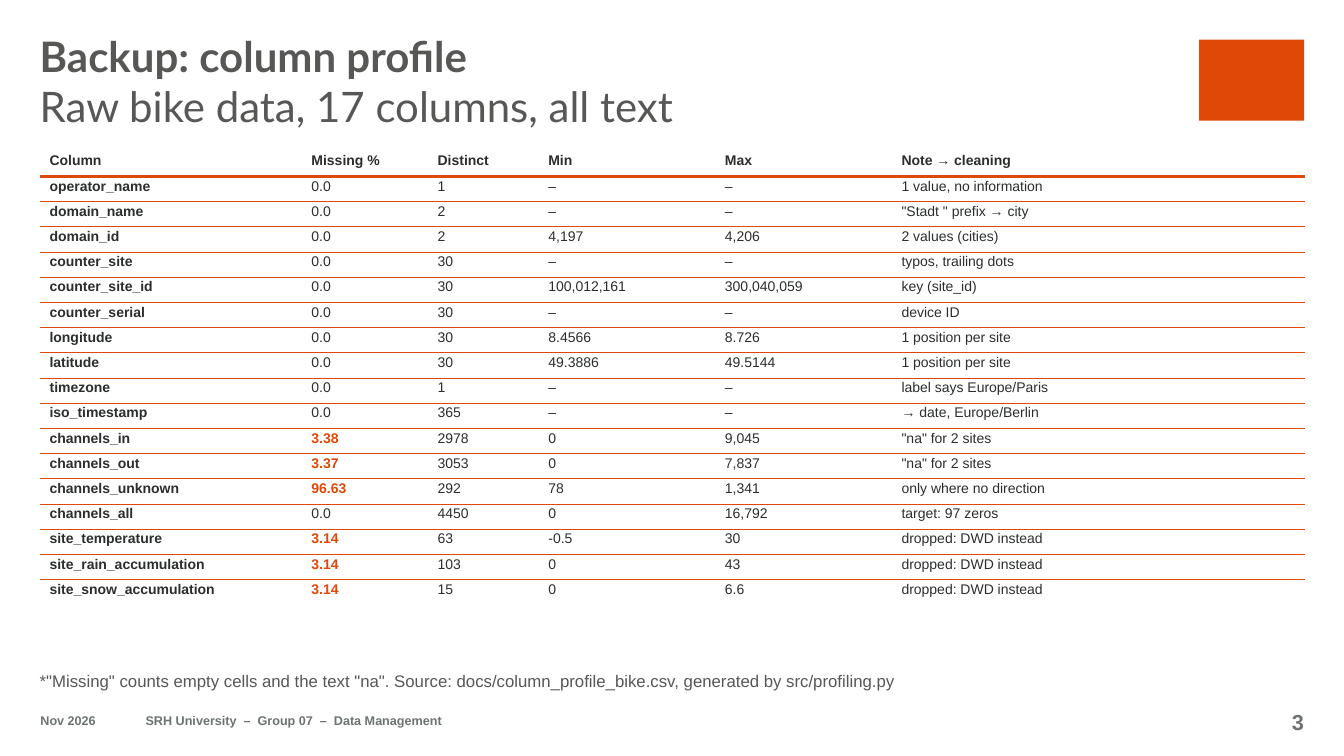
from dataclasses import dataclass

from lxml.etree import SubElement
from pptx import Presentation
from pptx.dml.color import RGBColor
from pptx.enum.shapes import MSO_SHAPE
from pptx.enum.text import MSO_ANCHOR, MSO_AUTO_SIZE, PP_ALIGN
from pptx.oxml.ns import qn
from pptx.util import Cm, Pt


@dataclass(frozen=True)
class Theme:
    orange: str = "DF4807"
    heading: str = "575756"
    ink: str = "2C2E2E"
    muted: str = "6D7373"
    heading_font: str = "Lato"
    body_font: str = "Arial"
    title_size: float = 30
    note_size: float = 12
    table_size: float = 10
    footer_size: float = 9
    number_size: float = 15.5
    rule: float = 0.5
    header_rule: float = 2


@dataclass(frozen=True)
class Box:
    left: float
    top: float
    width: float
    height: float

    def lengths(self):
        return Cm(self.left), Cm(self.top), Cm(self.width), Cm(self.height)


THEME = Theme()
COLUMN_WIDTHS = (6.6, 3.18, 2.79, 4.45, 4.45, 10.41)
HEADER = ("Column", "Missing %", "Distinct", "Min", "Max", "Note → cleaning")
PROFILE = (
    ("operator_name", "0.0", "1", "–", "–", "1 value, no information"),
    ("domain_name", "0.0", "2", "–", "–", '"Stadt " prefix → city'),
    ("domain_id", "0.0", "2", "4,197", "4,206", "2 values (cities)"),
    ("counter_site", "0.0", "30", "–", "–", "typos, trailing dots"),
    ("counter_site_id", "0.0", "30", "100,012,161", "300,040,059", "key (site_id)"),
    ("counter_serial", "0.0", "30", "–", "–", "device ID"),
    ("longitude", "0.0", "30", "8.4566", "8.726", "1 position per site"),
    ("latitude", "0.0", "30", "49.3886", "49.5144", "1 position per site"),
    ("timezone", "0.0", "1", "–", "–", "label says Europe/Paris"),
    ("iso_timestamp", "0.0", "365", "–", "–", "→ date, Europe/Berlin"),
    ("channels_in", "3.38", "2978", "0", "9,045", '"na" for 2 sites'),
    ("channels_out", "3.37", "3053", "0", "7,837", '"na" for 2 sites'),
    ("channels_unknown", "96.63", "292", "78", "1,341", "only where no direction"),
    ("channels_all", "0.0", "4450", "0", "16,792", "target: 97 zeros"),
    ("site_temperature", "3.14", "63", "-0.5", "30", "dropped: DWD instead"),
    ("site_rain_accumulation", "3.14", "103", "0", "43", "dropped: DWD instead"),
    ("site_snow_accumulation", "3.14", "15", "0", "6.6", "dropped: DWD instead"),
)


def style_font(font, name, size, color, bold=False):
    font.name = name
    font.size = Pt(size)
    font.bold = bold
    font.color.rgb = RGBColor.from_string(color)


def prepare_frame(frame, anchor):
    frame.word_wrap = True
    frame.auto_size = MSO_AUTO_SIZE.NONE
    frame.vertical_anchor = anchor
    frame.margin_left = frame.margin_right = 0
    frame.margin_top = frame.margin_bottom = 0


def add_title(page, box, headline, subtitle):
    title = page.shapes.title
    title.left, title.top, title.width, title.height = box.lengths()
    prepare_frame(title.text_frame, MSO_ANCHOR.BOTTOM)
    para = title.text_frame.paragraphs[0]
    para.alignment = PP_ALIGN.LEFT
    style_font(para.font, THEME.heading_font, THEME.title_size, THEME.heading)
    for text, bold in ((headline, True), (subtitle, False)):
        if para.runs:
            para.add_line_break()
        span = para.add_run()
        span.text = text
        style_font(span.font, THEME.heading_font, THEME.title_size, THEME.heading, bold)


def add_emblem(page, box):
    emblem = page.shapes.add_shape(MSO_SHAPE.RECTANGLE, *box.lengths())
    emblem.shadow.inherit = False
    emblem.fill.solid()
    emblem.fill.fore_color.rgb = RGBColor.from_string(THEME.orange)
    emblem.line.fill.background()


def add_label(page, box, text, size, color, bold=False,
              anchor=MSO_ANCHOR.MIDDLE, align=PP_ALIGN.LEFT, spacing=1.0):
    label = page.shapes.add_textbox(*box.lengths())
    prepare_frame(label.text_frame, anchor)
    para = label.text_frame.paragraphs[0]
    para.text = text
    para.alignment = align
    para.line_spacing = spacing
    style_font(para.font, THEME.body_font, size, color, bold)


def set_borders(cell, top, bottom):
    properties = cell._tc.get_or_add_tcPr()
    edges = (("a:lnL", 0), ("a:lnR", 0), ("a:lnT", top), ("a:lnB", bottom))
    for position, (tag, width) in enumerate(edges):
        line = SubElement(properties, qn(tag), w=str(Pt(width)))
        if width:
            fill = SubElement(line, qn("a:solidFill"))
            SubElement(fill, qn("a:srgbClr"), val=THEME.orange)
        else:
            SubElement(line, qn("a:noFill"))
        properties.insert(position, line)


def fill_cell(cell, text, color, bold):
    cell.fill.background()
    cell.margin_left = cell.margin_right = Cm(0.25)
    cell.margin_top = cell.margin_bottom = Cm(0.05)
    cell.vertical_anchor = MSO_ANCHOR.TOP
    para = cell.text_frame.paragraphs[0]
    para.text = text
    style_font(para.font, THEME.body_font, THEME.table_size, color, bold)


def add_profile_table(page, box):
    records = (HEADER, *PROFILE)
    table = page.shapes.add_table(len(records), len(HEADER), *box.lengths()).table
    table.first_row = table.horz_banding = False
    for column, width in zip(table.columns, COLUMN_WIDTHS):
        column.width = Cm(width)
    rules = [0, THEME.header_rule] + [THEME.rule] * (len(records) - 2) + [0]
    for row, record in enumerate(records):
        table.rows[row].height = Cm(box.height / len(records))
        for column, text in enumerate(record):
            missing = row > 0 and column == 1 and text != "0.0"
            color = THEME.orange if missing else THEME.ink
            cell = table.cell(row, column)
            fill_cell(cell, text, color, row == 0 or column == 0 or missing)
            set_borders(cell, rules[row], rules[row + 1])


def add_footer(page, box, date, source, number):
    size, color = THEME.footer_size, THEME.muted
    add_label(page, Box(box.left, box.top, 2.44, box.height), date, size, color, True)
    add_label(page, Box(box.left + 2.65, box.top, 18, box.height), source, size, color, True)
    number_box = Box(box.left + box.width - 1.9, box.top + 0.03, 1.9, box.height)
    add_label(page, number_box, number, THEME.number_size, color, True,
              align=PP_ALIGN.RIGHT)


def build_profile_page(deck):
    page = deck.slides.add_slide(deck.slide_layouts[5])
    add_emblem(page, Box(30.22, 1, 2.65, 2.04))
    add_title(page, Box(1, 1, 25.43, 2.3),
              "Backup: column profile", "Raw bike data, 17 columns, all text")
    add_profile_table(page, Box(1, 3.81, sum(COLUMN_WIDTHS), 11.43))
    add_label(page, Box(1, 16.64, 26.67, 0.76),
              '*"Missing" counts empty cells and the text "na". '
              "Source: docs/column_profile_bike.csv, generated by src/profiling.py",
              THEME.note_size, THEME.heading, anchor=MSO_ANCHOR.BOTTOM, spacing=1.1)
    add_footer(page, Box(1.02, 17.65, 31.84, 1.02), "Nov 2026",
               "SRH University  –  Group 07  –  Data Management", "3")


def main():
    deck = Presentation()
    deck.slide_width, deck.slide_height = Cm(33.87), Cm(19.05)
    build_profile_page(deck)
    deck.save("out.pptx")


if __name__ == "__main__":
    main()
